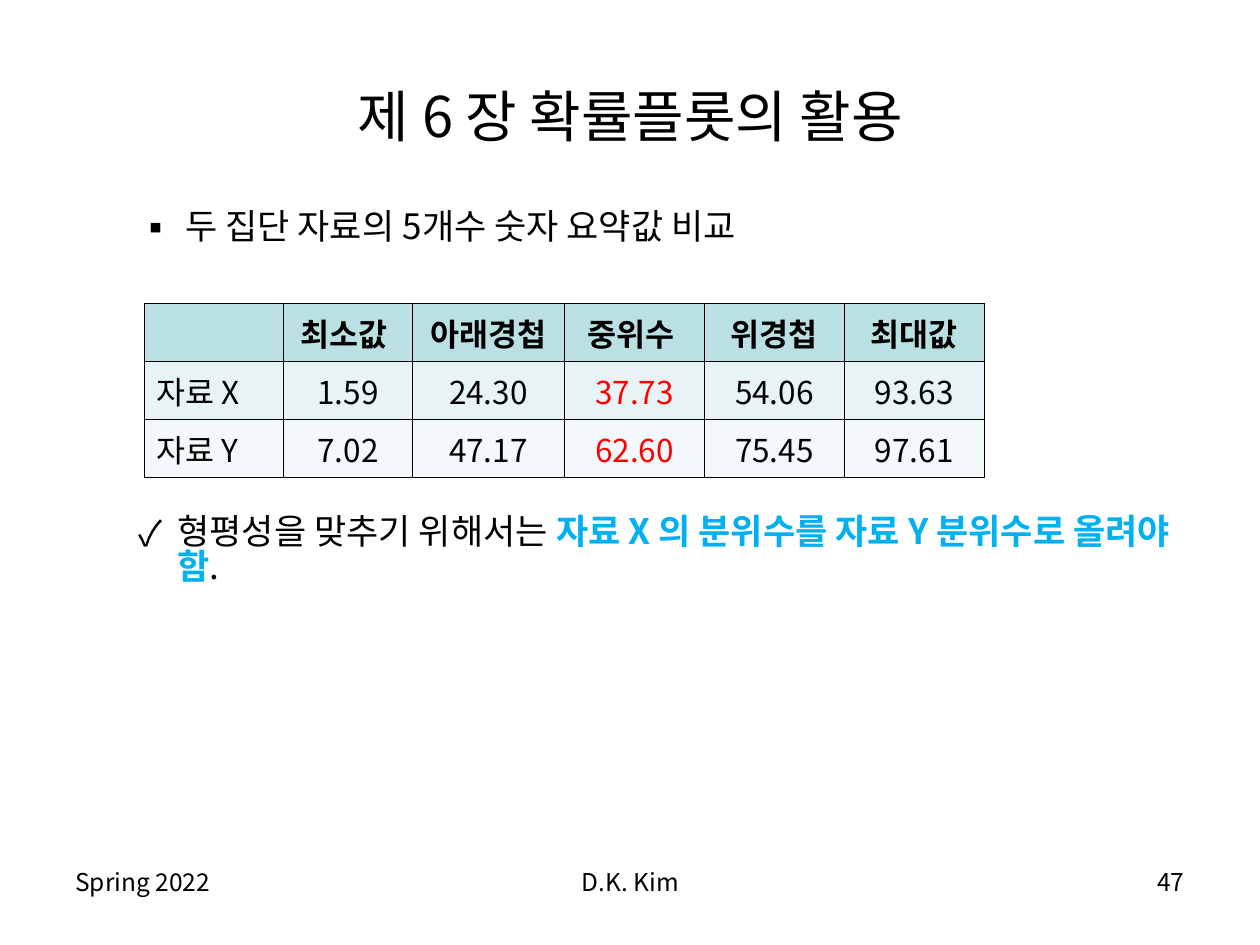
from typing import NamedTuple

from pptx import Presentation, util as u
from pptx.dml.color import RGBColor
from pptx.enum import text as t
from pptx.oxml import ns
from lxml import etree

FONT = "Noto Sans CJK KR"
HUES = {"ink": "000000", "red": "FF0000", "blue": "00B0F0",
        "head": "BBE0E3", "odd": "E7F3F4", "even": "F3F9FA"}
LEFT, MID, RIGHT = t.PP_ALIGN.LEFT, t.PP_ALIGN.CENTER, t.PP_ALIGN.RIGHT


class Box(NamedTuple):
    x: float
    y: float
    w: float
    h: float


class Run(NamedTuple):
    text: str
    hue: str = "ink"
    bold: bool = False


class Label(NamedTuple):
    box: Box
    text: str
    size: int
    align: t.PP_ALIGN


class Point(NamedTuple):
    y: float
    mark: str
    runs: list[Run]


LABELS = [
    Label(Box(1.3, 0.71, 22.83, 3.23), "제 6 장 확률플롯의 활용", 32, MID),
    Label(Box(1.27, 17.35, 5.92, 1.32), "Spring 2022", 14, LEFT),
    Label(Box(8.69, 17.35, 8.04, 1.32), "D.K. Kim", 14, MID),
    Label(Box(18.21, 17.35, 5.92, 1.32), "47", 14, RIGHT),
]
POINTS = [
    Point(4.15, "▪", [Run(" 두 집단 자료의 5개수 숫자 요약값 비교")]),
    Point(10.3, "✓", [Run("형평성을 맞추기 위해서는 "),
                      Run("자료 X 의 분위수를 자료 Y 분위수로 올려야 함", "blue", True),
                      Run(".")]),
]
COLS = [2.82, 2.59, 3.07, 2.82, 2.82, 2.82]
ROWS = [
    ["", "최소값 ", "아래경첩", "중위수 ", "위경첩", "최대값"],
    ["자료 X", "1.59", "24.30", "37.73", "54.06", "93.63"],
    ["자료 Y", "7.02", "47.17", "62.60", "75.45", "97.61"],
]
MEDIAN = 3


def add_text(para, text: str, *, size: int, hue: str = "ink", bold: bool = False,
             align: t.PP_ALIGN = LEFT) -> None:
    para.alignment = align
    run = para.add_run()
    run.text = text
    font = run.font
    font.name, font.size, font.bold = FONT, u.Pt(size), bold
    font.color.rgb = RGBColor.from_string(HUES[hue])
    etree.SubElement(run._r.get_or_add_rPr(), ns.qn("a:ea"), typeface=FONT)


def add_box(slide, box: Box, anchor: t.MSO_ANCHOR = t.MSO_ANCHOR.TOP):
    """Add a wrapping text box and return its first paragraph."""
    frame = slide.shapes.add_textbox(*map(u.Cm, box)).text_frame
    frame.word_wrap = True
    frame.vertical_anchor = anchor
    return frame.paragraphs[0]


def set_mark(para, mark: str) -> None:
    """Give the paragraph a hanging bullet."""
    props = para._p.get_or_add_pPr()
    props.set("marL", str(u.Cm(2.06)))
    props.set("indent", str(-u.Cm(0.79)))
    color = etree.SubElement(props, ns.qn("a:buClr"))
    etree.SubElement(color, ns.qn("a:srgbClr"), val=HUES["ink"])
    etree.SubElement(props, ns.qn("a:buFont"), typeface=FONT)
    etree.SubElement(props, ns.qn("a:buChar"), char=mark)


def add_point(slide, point: Point) -> None:
    para = add_box(slide, Box(1.27, point.y, 22.86, 2.2))
    para.line_spacing = 0.83
    set_mark(para, point.mark)
    for run in point.runs:
        add_text(para, run.text, size=20, hue=run.hue, bold=run.bold)


def set_edge(cell) -> None:
    """Draw a thin line on all four sides of the cell."""
    props = cell._tc.get_or_add_tcPr()
    for side in ("lnL", "lnR", "lnT", "lnB"):
        line = etree.SubElement(props, ns.qn(f"a:{side}"), w=str(u.Pt(0.45)))
        fill = etree.SubElement(line, ns.qn("a:solidFill"))
        etree.SubElement(fill, ns.qn("a:srgbClr"), val=HUES["ink"])


def add_grid(slide) -> None:
    box = Box(2.9, 6.12, sum(COLS), 3.5)
    grid = slide.shapes.add_table(len(ROWS), len(COLS), *map(u.Cm, box)).table
    for col, width in zip(grid.columns, COLS):
        col.width = u.Cm(width)
    for r, (row, band) in enumerate(zip(ROWS, ("head", "odd", "even"))):
        for c, text in enumerate(row):
            cell = grid.cell(r, c)
            set_edge(cell)
            cell.fill.solid()
            cell.fill.fore_color.rgb = RGBColor.from_string(HUES[band])
            if text:
                add_text(cell.text_frame.paragraphs[0], text, size=18, bold=r == 0,
                         hue="red" if r and c == MEDIAN else "ink",
                         align=MID if c else LEFT)


def main() -> None:
    deck = Presentation()
    deck.slide_width, deck.slide_height = u.Cm(25.4), u.Cm(19.05)
    slide = deck.slides.add_slide(deck.slide_layouts[6])
    for point in POINTS:
        add_point(slide, point)
    for label in LABELS:
        anchor = t.MSO_ANCHOR.MIDDLE if label.size > 20 else t.MSO_ANCHOR.TOP
        para = add_box(slide, label.box, anchor)
        add_text(para, label.text, size=label.size, align=label.align)
    add_grid(slide)
    deck.save("out.pptx")


if __name__ == "__main__":
    main()
